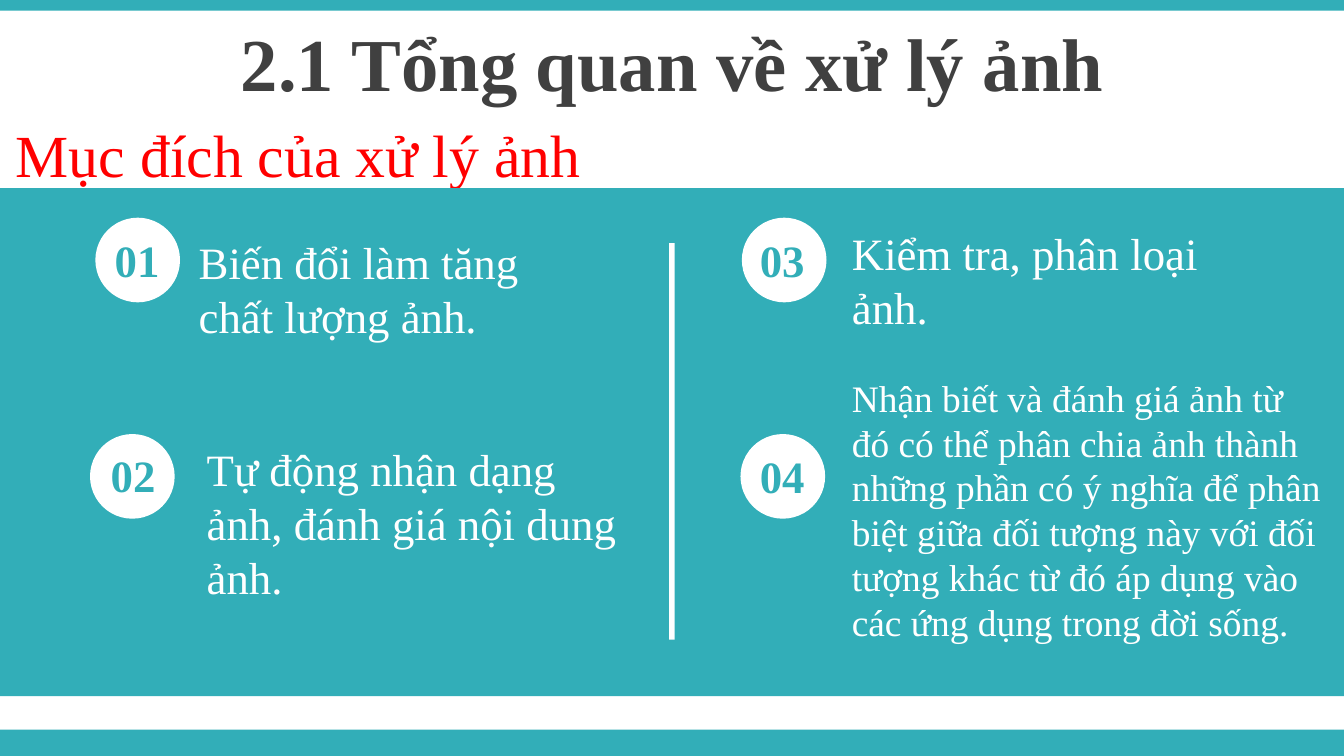
from pptx import Presentation
from pptx import util as u
from pptx.dml import color
from pptx.enum import shapes, text

TEAL, WHITE, GREY, RED = "32AEB8", "FFFFFF", "404040", "FF0000"


def rgb(value):
    return color.RGBColor.from_string(value)


class SlideBuilder:
    """Holds the style and the current slide."""

    font_name = "Times New Roman"

    def __init__(self, page):
        self.page = page

    def shape(self, kind, area, fill):
        item = self.page.shapes.add_shape(kind, *map(u.Inches, area))
        item.shadow.inherit = False
        item.fill.solid()
        item.fill.fore_color.rgb = rgb(fill)
        item.line.fill.background()
        return item

    def bar(self, area, fill=TEAL):
        return self.shape(shapes.MSO_SHAPE.RECTANGLE, area, fill)

    def circle(self, left, top, size=0.63):
        return self.shape(shapes.MSO_SHAPE.OVAL, (left, top, size, size), WHITE)

    def set_text(self, box, words, size, fill, bold=False,
                 align=text.PP_ALIGN.LEFT, anchor=text.MSO_ANCHOR.TOP, before=0):
        frame = box.text_frame
        frame_format = {"word_wrap": True, "vertical_anchor": anchor,
                        "auto_size": text.MSO_AUTO_SIZE.NONE}
        for name, value in frame_format.items():
            setattr(frame, name, value)
        para = frame.paragraphs[0]
        para.alignment = align
        para.space_before = u.Pt(before)
        span = para.add_run()
        span.text = words
        span_format = {"name": self.font_name, "size": u.Pt(size), "bold": bold}
        for name, value in span_format.items():
            setattr(span.font, name, value)
        span.font.color.rgb = rgb(fill)

    def title(self, area, words, size, fill):
        box = self.page.shapes.title
        for name, value in zip(("left", "top", "width", "height"), area):
            setattr(box, name, u.Inches(value))
        self.set_text(box, words, size, fill, bold=True,
                      align=text.PP_ALIGN.CENTER,
                      anchor=text.MSO_ANCHOR.MIDDLE, before=size * 0.2)

    def label(self, area, words, size, fill, **style):
        box = self.page.shapes.add_textbox(*map(u.Inches, area))
        self.set_text(box, words, size, fill, **style)


def main():
    deck = Presentation()
    deck.slide_width, deck.slide_height = u.Inches(10), u.Inches(5.625)
    builder = SlideBuilder(deck.slides.add_slide(deck.slide_layouts[5]))

    # Edge bars and headings
    builder.bar((0, 5.43, 10, 0.2))
    builder.bar((0, 0, 10, 0.08))
    builder.title((0, 0.14, 10, 0.63), "2.1 Tổng quan về xử lý ảnh", 40, GREY)
    builder.label((0.02, 0.99, 10, 0.31), "Mục đích của xử lý ảnh", 32, RED,
                  anchor=text.MSO_ANCHOR.MIDDLE, before=6.4)

    # Content band with its divider
    builder.bar((0, 1.4, 10, 3.78))
    builder.bar((4.98, 1.81, 0.04, 2.95), WHITE)

    # Numbered purposes: circle, number position, text area, size, words
    purposes = [
        ((0.71, 1.62), (0.67, 1.68), (1.38, 1.7, 2.91, 0.91), 24,
         "Biến đổi làm tăng chất lượng ảnh."),
        ((0.67, 3.23), (0.64, 3.28), (1.44, 3.24, 3.27, 1.31), 24,
         "Tự động nhận dạng ảnh, đánh giá nội dung ảnh."),
        ((5.52, 1.62), (5.47, 1.68), (6.24, 1.63, 2.91, 0.91), 24,
         "Kiểm tra, phân loại ảnh."),
        ((5.51, 3.23), (5.47, 3.29), (6.24, 2.74, 3.73, 2.12), 20,
         "Nhận biết và đánh giá ảnh từ đó có thể phân chia ảnh thành những "
         "phần có ý nghĩa để phân biệt giữa đối tượng này với đối tượng khác "
         "từ đó áp dụng vào các ứng dụng trong đời sống."),
    ]
    for number, (circle, corner, area, size, words) in enumerate(purposes, 1):
        builder.circle(*circle)
        builder.label((*corner, 0.7, 0.5), f"{number:02d}", 24, TEAL,
                      bold=True, align=text.PP_ALIGN.CENTER)
        builder.label(area, words, size, WHITE)

    deck.save("out.pptx")


if __name__ == "__main__":
    main()
